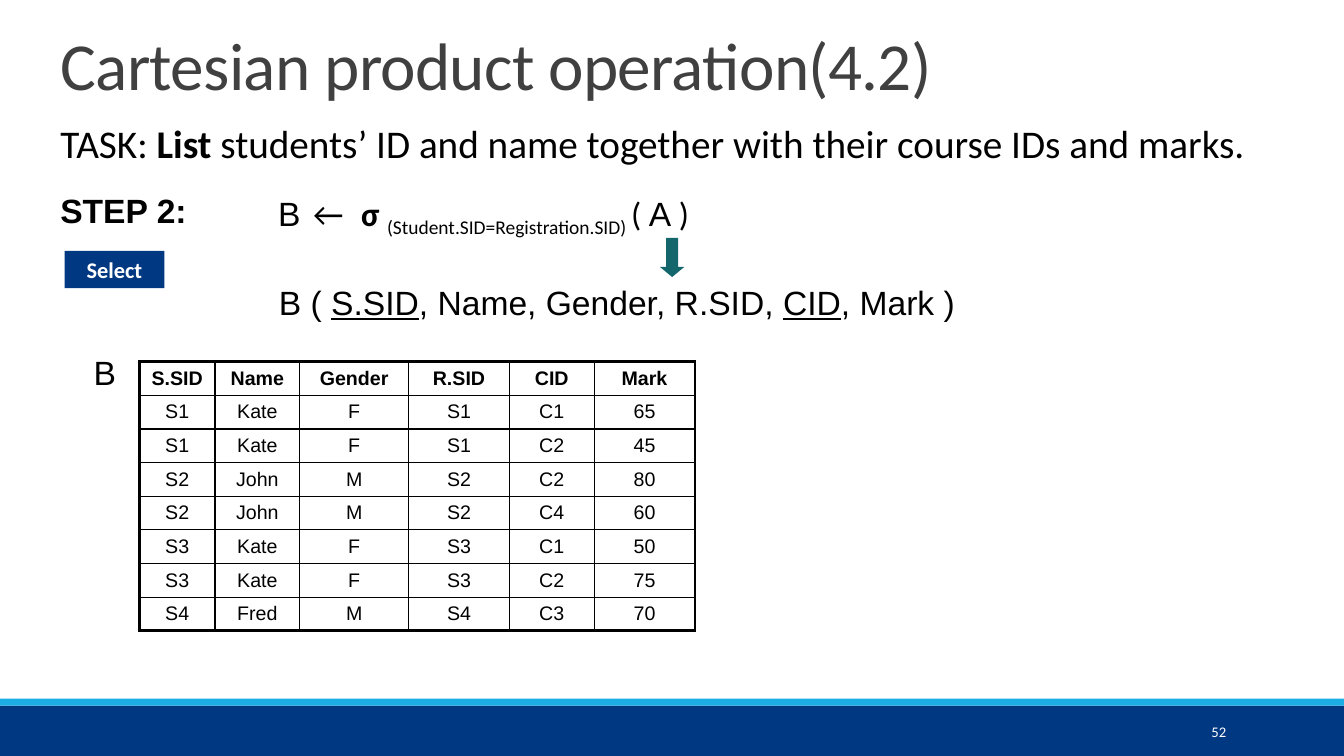
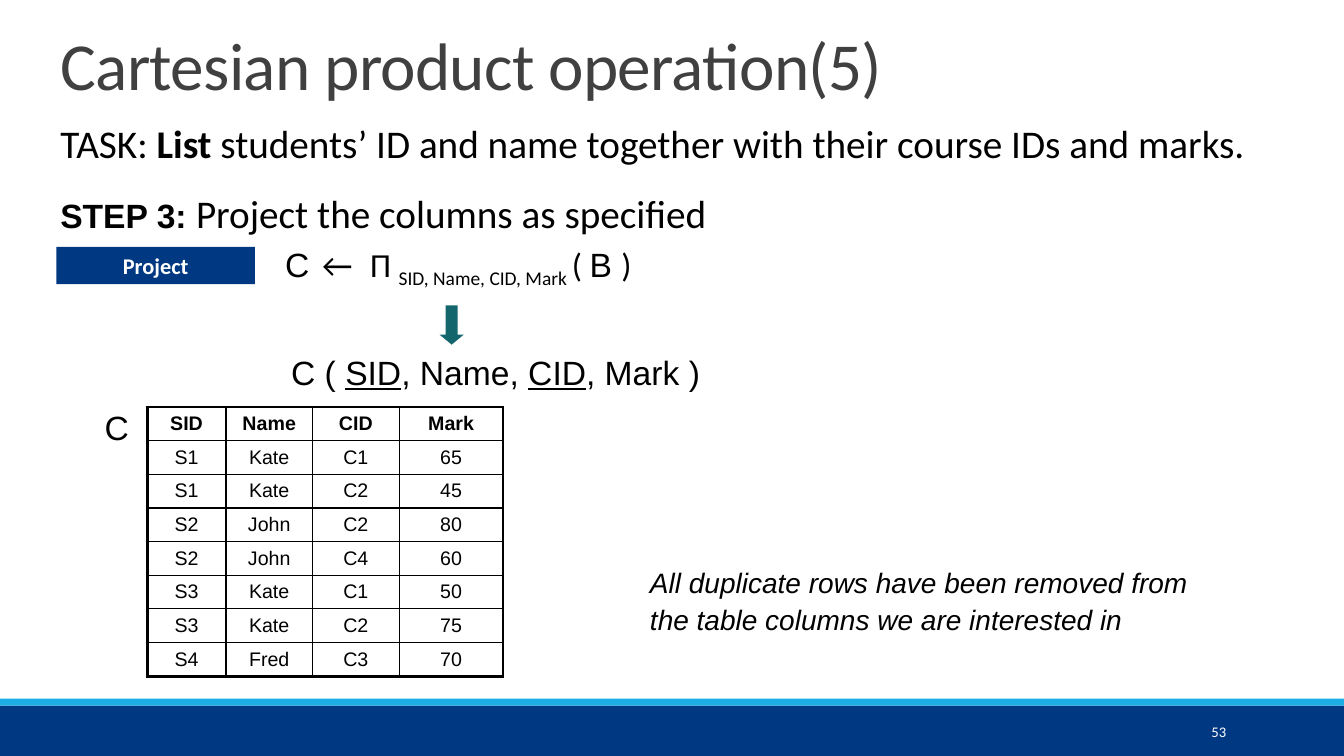
from lxml.etree import SubElement
from pptx import Presentation
from pptx.dml.color import RGBColor
from pptx.enum.shapes import MSO_SHAPE
from pptx.enum.text import MSO_ANCHOR, PP_ALIGN
from pptx.oxml.ns import qn
from pptx.util import Pt

COLORS = {"navy": "003882", "sky": "1CADE4", "teal": "13676C",
          "title": "404040", "text": "000000", "paper": "FFFFFF"}
SANS, BODY = "Arial", "Calibri"
SLIDE_WIDTH, SLIDE_HEIGHT = 960, 540
ROW_HEIGHT = 24
OUTER_LINE, INNER_LINE = 2.25, 1

COLUMNS = ["S.SID", "Name", "Gender", "R.SID", "CID", "Mark"]
REGISTRATIONS = [
    ["S1", "Kate", "F", "S1", "C1", "65"],
    ["S1", "Kate", "F", "S1", "C2", "45"],
    ["S2", "John", "M", "S2", "C2", "80"],
    ["S2", "John", "M", "S2", "C4", "60"],
    ["S3", "Kate", "F", "S3", "C1", "50"],
    ["S3", "Kate", "F", "S3", "C2", "75"],
    ["S4", "Fred", "M", "S4", "C3", "70"],
]
PROJECTED = [0, 1, 4, 5]

BOLD = {"bold": True}
KEY = {"underline": True}
CALIBRI = {"name": BODY}
SUBSCRIPT = {"name": BODY, "baseline": -25000}
ASSIGN = {"name": BODY, "spc": 360}


def rgb(key):
    return RGBColor.from_string(COLORS[key])


def points(*lengths):
    return [Pt(length) for length in lengths]


def style_run(run, size, color="text", name=SANS, bold=False, italic=False,
              underline=False, **raw_attributes):
    font = run.font
    font.size, font.name, font.bold, font.italic = Pt(size), name, bold, italic
    font.underline = underline
    font.color.rgb = rgb(color)
    for key, value in raw_attributes.items():
        font._element.set(key, str(value))


def write(frame, parts, align=PP_ALIGN.LEFT, **style):
    """Fill the first paragraph with plain strings or (string, style) parts."""
    paragraph = frame.paragraphs[0]
    paragraph.alignment = align
    for part in parts:
        text, changes = (part, {}) if isinstance(part, str) else part
        run = paragraph.add_run()
        run.text = text
        style_run(run, **{**style, **changes})
    return paragraph


def add_text(slide, box, parts, size=24, anchor=MSO_ANCHOR.TOP, **style):
    frame = slide.shapes.add_textbox(*points(*box)).text_frame
    frame.word_wrap = True
    frame.vertical_anchor = anchor
    return write(frame, parts, size=size, **style)


def add_block(slide, box, color, preset=MSO_SHAPE.RECTANGLE):
    block = slide.shapes.add_shape(preset, *points(*box))
    block.shadow.inherit = False
    block.fill.solid()
    block.fill.fore_color.rgb = rgb(color)
    block.line.fill.background()
    return block


def move_bands_to_layout(slide):
    """Draw the footer bands and hand them to the layout, behind its parts."""
    layout_tree = slide.slide_layout.shapes.element
    bands = [((0, 504, SLIDE_WIDTH, 36), "navy"), ((0, 499, SLIDE_WIDTH, 5), "sky")]
    for order, (box, color) in enumerate(bands):
        band = add_block(slide, box, color).element
        band.nvSpPr.cNvPr.set("id", str(100 + order))
        layout_tree.insert(2 + order, band)


def add_task_slide(prs, title, number):
    slide = prs.slides.add_slide(prs.slide_layouts[5])
    heading = slide.shapes.title
    heading.left, heading.top, heading.width, heading.height = points(36, 21.6, 727, 90)
    heading.text_frame.vertical_anchor = MSO_ANCHOR.TOP
    line = write(heading.text_frame, [title], size=48, name=BODY, color="title", spc=-50)
    line.line_spacing = 0.85
    add_text(slide, (36, 81.4, 875.6, 41),
             ["TASK: ", ("List", BOLD),
              " students’ ID and name together with their course IDs and marks."],
             size=28, name=BODY)
    add_text(slide, (780, 508.3, 103, 28.8), [number], size=10.5, name=BODY,
             color="paper", align=PP_ALIGN.RIGHT, anchor=MSO_ANCHOR.MIDDLE)
    return slide


def add_operation_tag(slide, box, operation):
    tag = add_block(slide, box, "navy")
    write(tag.text_frame, [operation], align=PP_ALIGN.CENTER, size=16, name=BODY,
          color="paper", bold=True)


def add_derivation(slide, box, formula, schema, arrow_offset, schema_offset):
    """Place a formula, a down arrow and the schema it yields."""
    left, top, width, height = box
    add_text(slide, box, formula)
    arrow = add_block(slide, (left + arrow_offset[0], top + arrow_offset[1], 17.3, 28),
                      "teal", MSO_SHAPE.DOWN_ARROW)
    arrow.adjustments[0], arrow.adjustments[1] = 0.5, 0.415
    add_text(slide, (left + schema_offset[0], top + schema_offset[1], width, height),
             schema)


def set_borders(cell, widths):
    properties = cell._tc.get_or_add_tcPr()
    for side, width in widths.items():
        line = SubElement(properties, qn(f"a:ln{side}"), w=str(Pt(width)))
        fill = SubElement(line, qn("a:solidFill"))
        SubElement(fill, qn("a:srgbClr"), val=COLORS["text"])


def add_relation(slide, left, top, name, label_offset, column_widths, records):
    """Draw a relation as a table, header first, with its name beside it."""
    add_text(slide, (left + label_offset[0], top + label_offset[1], 32, 36), [name])
    last_row, last_column = len(records) - 1, len(column_widths) - 1
    table = slide.shapes.add_table(
        last_row + 1, last_column + 1,
        *points(left, top, sum(column_widths), ROW_HEIGHT * len(records))).table
    table.first_row = table.horz_banding = False
    for column, width in zip(table.columns, column_widths):
        column.width = Pt(width)
    for row_index, record in enumerate(records):
        table.rows[row_index].height = Pt(ROW_HEIGHT)
        for column_index, value in enumerate(record):
            cell = table.cell(row_index, column_index)
            edges = {"L": column_index == 0, "R": column_index == last_column,
                     "T": row_index == 0, "B": row_index == last_row}
            set_borders(cell, {side: OUTER_LINE if outer else INNER_LINE
                               for side, outer in edges.items()})
            cell.fill.background()
            cell.vertical_anchor = MSO_ANCHOR.MIDDLE
            write(cell.text_frame, [value], align=PP_ALIGN.CENTER, size=14,
                  bold=row_index == 0)


def build_selection(prs):
    slide = add_task_slide(prs, "Cartesian product operation(4.2)", "52")
    move_bands_to_layout(slide)
    add_text(slide, (36, 131.8, 114.5, 36), [("STEP 2:", BOLD)])
    add_operation_tag(slide, (46.1, 179.3, 71.3, 26.6), "Select")
    add_derivation(
        slide, (191.5, 133.9, 508, 36),
        ["B", (" ← ", ASSIGN), ("σ ", {**CALIBRI, **BOLD}),
         ("(Student.SID=Registration.SID) ", SUBSCRIPT), ("( ", CALIBRI), "A ",
         (")", CALIBRI)],
        ["B ( ", ("S.SID", KEY), ", Name, Gender, R.SID, ", ("CID", KEY), ", Mark )"],
        arrow_offset=(280, 36), schema_offset=(0.7, 64.1))
    add_relation(slide, 99.6, 258.3, "B", (-39.8, -10.6),
                 [54, 60.5, 77.8, 72, 60.5, 72], [COLUMNS] + REGISTRATIONS)


def build_projection(prs):
    slide = add_task_slide(prs, "Cartesian product operation(5)", "53")
    add_text(slide, (36, 131.8, 875.6, 41),
             [("STEP 3: ", BOLD),
              ("Project the columns as specified", {"size": 28, "name": BODY})])
    add_operation_tag(slide, (40.3, 176.4, 141.8, 26.6), "Project")
    add_derivation(
        slide, (196.6, 170.6, 564, 36),
        ["C", (" ← ", ASSIGN), ("Π ", CALIBRI), ("SID, Name, CID, Mark ", SUBSCRIPT),
         ("( ", CALIBRI), "B ", (")", CALIBRI)],
        ["C ( ", ("SID", KEY), ", Name, ", ("CID", KEY), ", Mark )"],
        arrow_offset=(117.4, 47.6), schema_offset=(4.3, 77))
    header = ["SID", "Name", "CID", "Mark"]
    projection = [[record[index] for index in PROJECTED] for record in REGISTRATIONS]
    add_relation(slide, 105.2, 290.7, "C", (-37.5, -3.4),
                 [56.2, 61.9, 61.9, 74.2], [header] + projection)
    note = add_text(slide, (457.2, 398, 409.7, 58),
                    ["All duplicate rows have been removed from the table columns"
                     " we are interested in"], size=20, italic=True)
    note.line_spacing = 1.1


def main():
    prs = Presentation()
    prs.slide_width, prs.slide_height = points(SLIDE_WIDTH, SLIDE_HEIGHT)
    build_selection(prs)
    build_projection(prs)
    prs.save("out.pptx")


if __name__ == "__main__":
    main()
